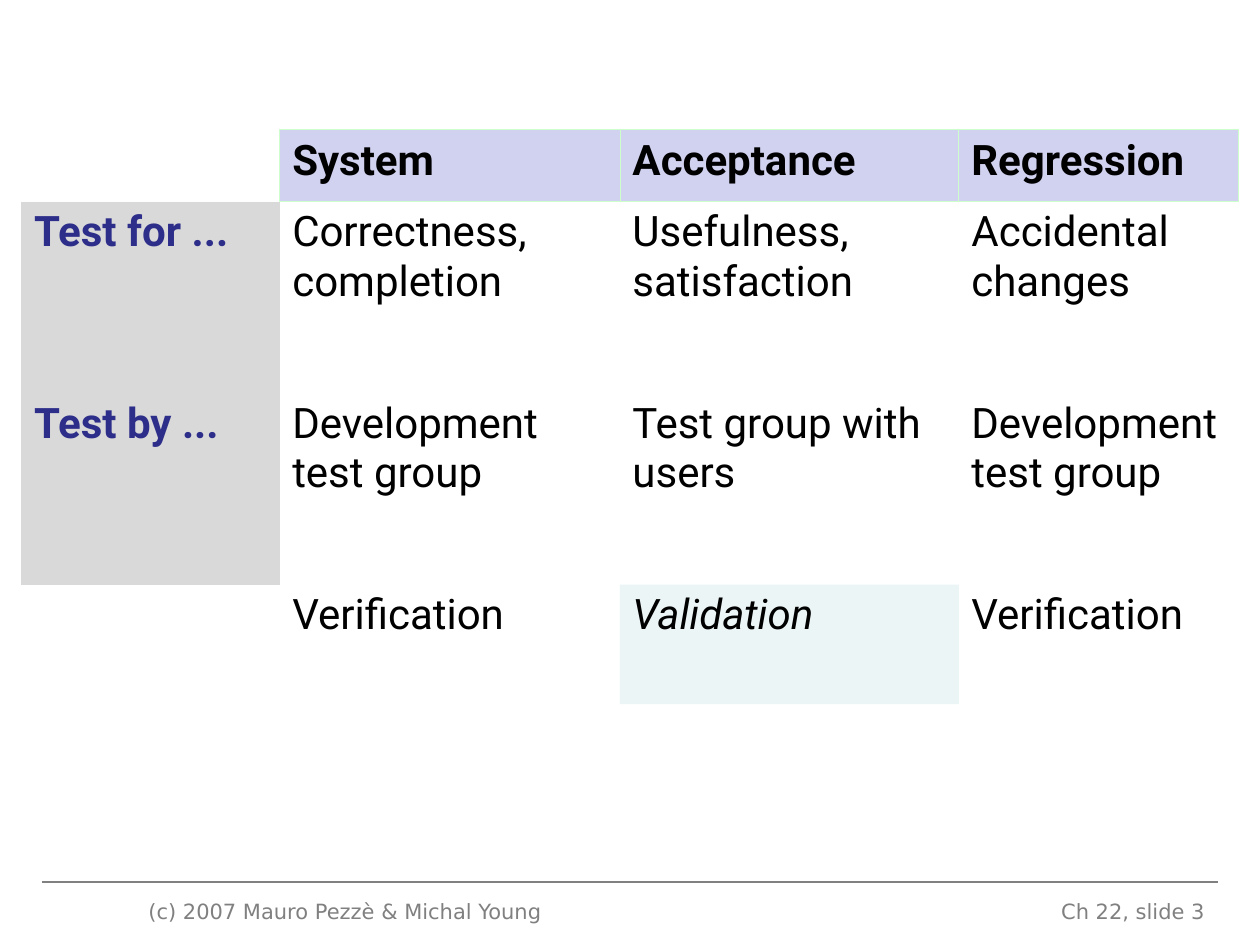
from dataclasses import dataclass

from lxml.etree import SubElement
from pptx import Presentation
from pptx.dml.color import RGBColor
from pptx.enum.shapes import MSO_CONNECTOR
from pptx.enum.text import PP_ALIGN
from pptx.oxml.ns import qn
from pptx.slide import Slide
from pptx.util import Inches, Pt

BLACK = RGBColor(0x00, 0x00, 0x00)
GRAY = RGBColor(0x80, 0x80, 0x80)
NAVY = RGBColor(0x2D, 0x2D, 0x8A)
HEADER_FILL = RGBColor(0xD1, 0xD1, 0xF0)
LABEL_FILL = RGBColor(0xD9, 0xD9, 0xD9)
VALIDATION_FILL = RGBColor(0xDA, 0xED, 0xEF)
BORDER = RGBColor(0xCC, 0xFF, 0xCC)

COLUMN_WIDTHS = [2.05, 2.7, 2.69, 2.22]
ROW_HEIGHTS = [0.57, 1.52, 1.52, 0.95]
TEST_LEVELS = [
    ["", "System", "Acceptance", "Regression"],
    ["Test for ...", "Correctness, completion", "Usefulness, satisfaction",
     "Accidental changes"],
    ["Test by ...", "Development test group", "Test group with users",
     "Development test group"],
    ["", "Verification", "Validation", "Verification"],
]


@dataclass
class SlideBuilder:
    slide: Slide
    body_font: str = "Roboto"
    body_size: int = 24
    footer_font: str = "DejaVu Sans"
    footer_size: int = 12

    def add_run(self, paragraph, text, font_name, size, color, bold=False, italic=False):
        run = paragraph.add_run()
        run.text = text
        font = run.font
        font.name, font.size = font_name, Pt(size)
        font.bold, font.italic = bold, italic
        font.color.rgb = color

    def rule(self, left, right, y):
        line = self.slide.shapes.add_connector(
            MSO_CONNECTOR.STRAIGHT, Inches(left), Inches(y), Inches(right), Inches(y))
        line.line.color.rgb = GRAY
        line.line.width = Pt(0.75)
        SubElement(line._element.spPr, qn("a:effectLst"))

    def footer(self, text, left, width, align):
        box = self.slide.shapes.add_textbox(
            Inches(left), Inches(7.08), Inches(width), Inches(0.27))
        box.text_frame.word_wrap = True
        paragraph = box.text_frame.paragraphs[0]
        paragraph.alignment = align
        self.add_run(paragraph, text, self.footer_font, self.footer_size, GRAY)

    def borders(self, cell, visible_sides):
        """Draw the given sides of a cell (letters of LRTB) and clear the others."""
        properties = cell._tc.get_or_add_tcPr()
        for side in "LRTB":
            line = SubElement(properties, qn(f"a:ln{side}"), w=str(Pt(0.45)))
            if side in visible_sides:
                fill = SubElement(line, qn("a:solidFill"))
                SubElement(fill, qn("a:srgbClr"), val=str(BORDER))
            else:
                SubElement(line, qn("a:noFill"))

    def fill(self, cell, color, opacity=100):
        if color is None:
            cell.fill.background()
            return
        cell.fill.solid()
        cell.fill.fore_color.rgb = color
        if opacity < 100:
            rgb = cell._tc.tcPr.find(".//" + qn("a:solidFill") + "/" + qn("a:srgbClr"))
            SubElement(rgb, qn("a:alpha"), val=str(opacity * 1000))

    def test_cell(self, cell, text, row, column):
        """Style one cell by its place: header, row label, highlight or plain."""
        is_header = row == 0 and column > 0
        is_label = column == 0 and text != ""
        is_validation = text == "Validation"

        sides = "LRTB" if is_header else ""
        if row == 0 and column == 0:
            sides = "R"
        elif row == 1 and column > 0:
            sides = "T"
        self.borders(cell, sides)

        if is_validation:
            self.fill(cell, VALIDATION_FILL, opacity=51)
        else:
            self.fill(cell, HEADER_FILL if is_header else LABEL_FILL if is_label else None)

        if text:
            self.add_run(cell.text_frame.paragraphs[0], text, self.body_font,
                         self.body_size, NAVY if is_label else BLACK,
                         bold=is_header or is_label, italic=is_validation)

    def test_table(self, rows, left, top):
        table = self.slide.shapes.add_table(
            len(ROW_HEIGHTS), len(COLUMN_WIDTHS), Inches(left), Inches(top),
            Inches(sum(COLUMN_WIDTHS)), Inches(sum(ROW_HEIGHTS))).table
        table.first_row = table.horz_banding = False
        for column, width in zip(table.columns, COLUMN_WIDTHS):
            column.width = Inches(width)
        for row, height in zip(table.rows, ROW_HEIGHTS):
            row.height = Inches(height)
        for r, texts in enumerate(rows):
            for c, text in enumerate(texts):
                self.test_cell(table.cell(r, c), text, r, c)


def main():
    deck = Presentation()
    deck.slide_width, deck.slide_height = Inches(10), Inches(7.5)
    builder = SlideBuilder(deck.slides.add_slide(deck.slide_layouts[6]))
    builder.rule(0.33, 9.67, 7)
    builder.footer("(c) 2007 Mauro Pezzè & Michal Young", 1.08, 3.5, PP_ALIGN.LEFT)
    builder.footer("Ch 22, slide 3", 7.33, 2.33, PP_ALIGN.RIGHT)
    builder.test_table(TEST_LEVELS, 0.17, 1.03)
    deck.save("out.pptx")


if __name__ == "__main__":
    main()
